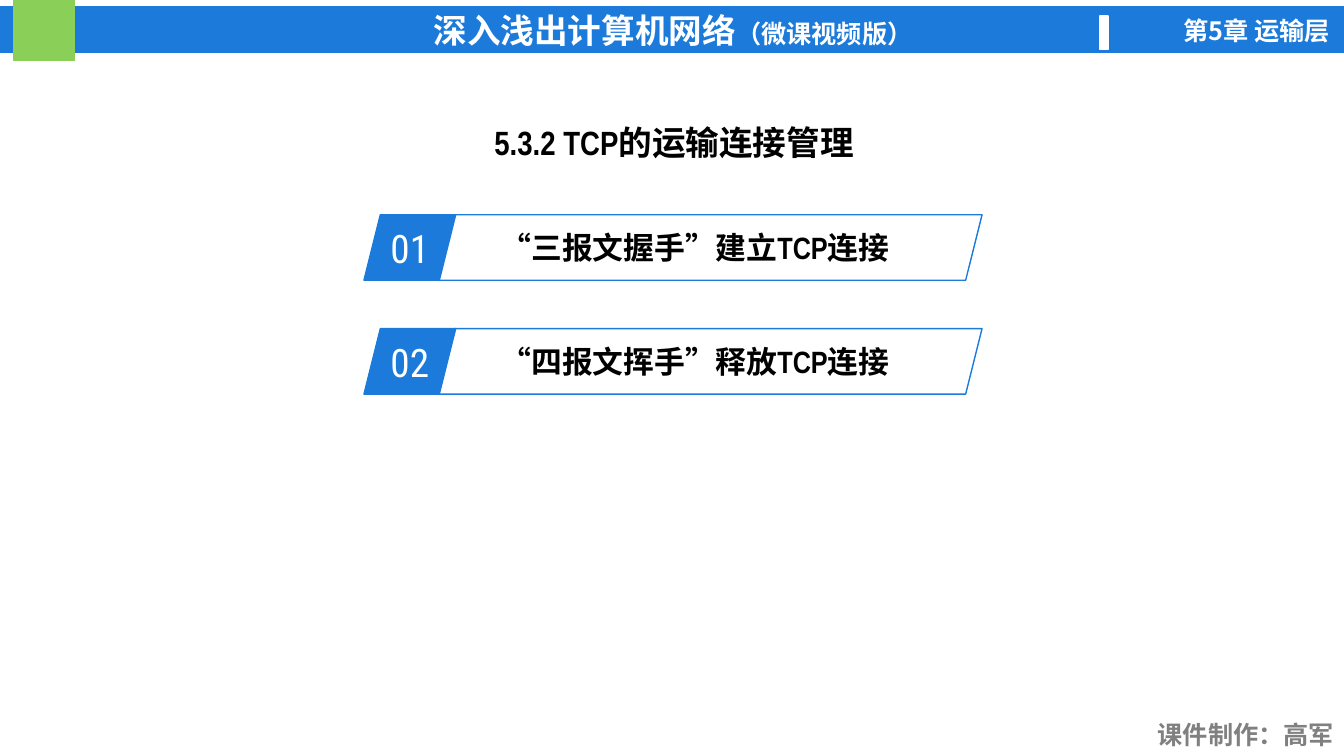
from lxml import etree
from pptx import Presentation
from pptx.dml.color import RGBColor
from pptx.enum.shapes import MSO_SHAPE
from pptx.enum.text import MSO_ANCHOR, PP_ALIGN
from pptx.oxml.ns import qn
from pptx.util import Inches, Pt

RECTANGLE, PARALLELOGRAM = MSO_SHAPE.RECTANGLE, MSO_SHAPE.PARALLELOGRAM
LEFT, CENTER, RIGHT = PP_ALIGN.LEFT, PP_ALIGN.CENTER, PP_ALIGN.RIGHT
TOP, MIDDLE = MSO_ANCHOR.TOP, MSO_ANCHOR.MIDDLE

COLORS = {"blue": "1B7ADA", "green": "8ACF57", "white": "FFFFFF",
          "black": "000000", "gray": "808080"}
LATIN, CJK, NUMERAL = "Arial Narrow", "Noto Sans CJK SC", "Roboto Condensed"
TOPICS = ["“三报文握手”建立TCP连接", "“四报文挥手”释放TCP连接"]


def color(name):
    return RGBColor.from_string(COLORS[name])


def write(shape, text, size, ink, align=CENTER, face=LATIN, bold=True, anchor=MIDDLE):
    frame = shape.text_frame
    frame.word_wrap = True
    frame.vertical_anchor = anchor
    paragraph = frame.paragraphs[0]
    paragraph.add_run().text = text
    paragraph.alignment = align
    font = paragraph.font
    font.name, font.size, font.bold = face, Pt(size), bold
    font.color.rgb = color(ink)
    properties = paragraph._p.pPr.find(qn("a:defRPr"))
    etree.SubElement(properties, qn("a:ea"), typeface=CJK)
    return paragraph


def add_block(slide, kind, box, line, fill=None):
    block = slide.shapes.add_shape(kind, *map(Inches, box))
    block.shadow.inherit = False
    if fill:
        block.fill.solid()
        block.fill.fore_color.rgb = color(fill)
    else:
        block.fill.background()
    block.line.color.rgb = color(line)
    block.line.width = Pt(1)
    return block


def add_label(slide, box, text, ink, face):
    label = slide.shapes.add_textbox(*map(Inches, box))
    write(label, text, 18, ink, RIGHT, face, anchor=TOP)


def add_header(slide, left, top, width):
    banner = add_block(slide, RECTANGLE, (left, top + 0.07, width, 0.45), "blue", "blue")
    course = write(banner, "深入浅出计算机网络", 24, "white")
    edition = course.add_run()
    edition.text = "（微课视频版）"
    edition.font.size = Pt(18)
    add_block(slide, RECTANGLE, (left + 0.14, top, 0.6, 0.6), "green", "green")
    add_block(slide, RECTANGLE, (left + 10.91, top + 0.16, 0.08, 0.33), "white", "white")
    add_label(slide, (left + 11.11, top + 0.1, 2.18, 0.4), "第5章 运输层", "white", CJK)


def add_title(slide, left, top, width, height):
    title = slide.shapes.title
    title.left, title.top = Inches(left), Inches(top)
    title.width, title.height = Inches(width), Inches(height)
    write(title, "5.3.2 TCP的运输连接管理", 24, "black")


def add_topic(slide, left, top, height, number, topic):
    badge = add_block(slide, PARALLELOGRAM, (left, top, 0.91, height), "blue", "blue")
    write(badge, f"{number:02}", 28, "white", face=NUMERAL, bold=False)
    badge.text_frame.margin_left = badge.text_frame.margin_right = 0
    panel = add_block(slide, PARALLELOGRAM, (left + 0.74, top, 5.39, height), "blue")
    write(panel, topic, 22, "black", LEFT)


def main():
    presentation = Presentation()
    presentation.slide_width, presentation.slide_height = Inches(13.33), Inches(7.5)
    slide = presentation.slides.add_slide(presentation.slide_layouts[5])
    add_header(slide, 0, 0, 13.35)
    add_label(slide, (11.34, 7.09, 1.99, 0.4), "课件制作：高军", "gray", LATIN)
    add_title(slide, 4.34, 1.18, 4.69, 0.46)
    for index, topic in enumerate(TOPICS):
        add_topic(slide, 3.61, 2.13 + 1.13 * index, 0.65, index + 1, topic)
    presentation.save("out.pptx")


if __name__ == "__main__":
    main()
